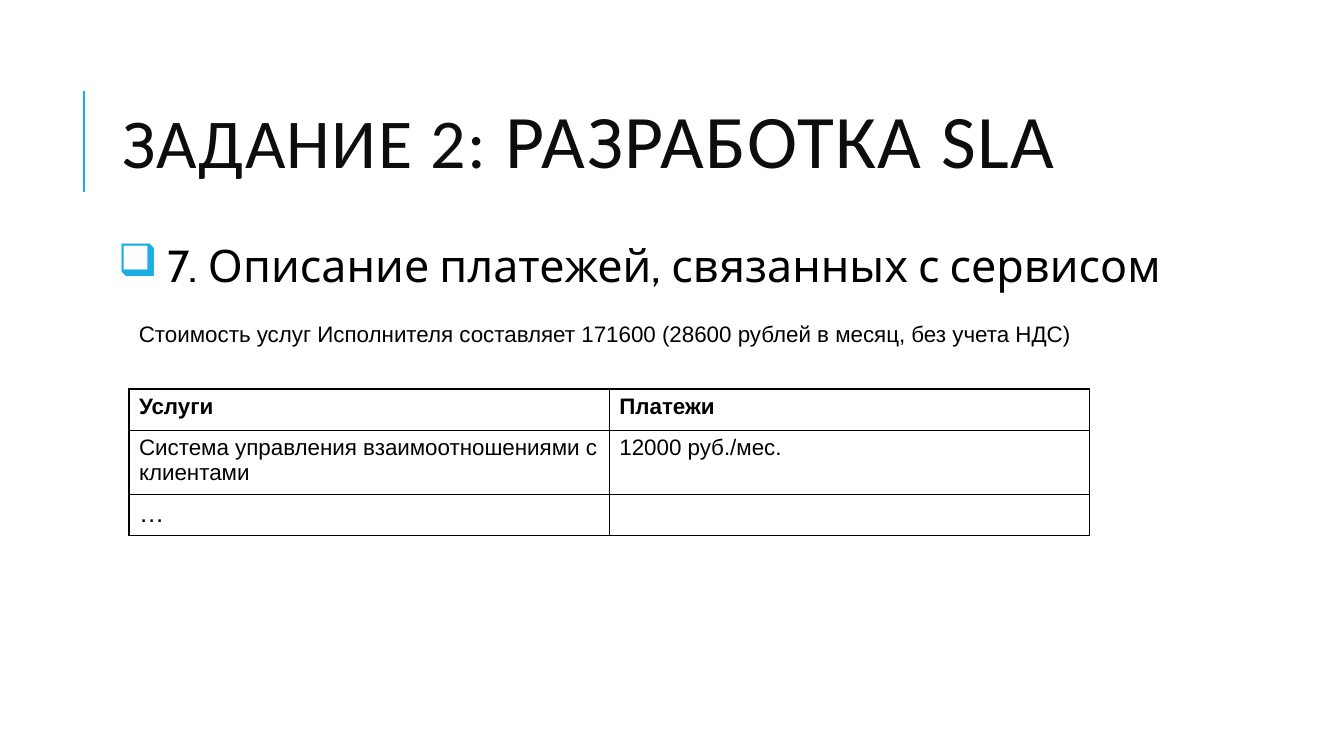
"""Build the slide on service payments in an SLA."""
from typing import NamedTuple

from lxml.etree import SubElement as Sub
from pptx import Presentation
from pptx.dml.color import RGBColor
from pptx.enum.shapes import MSO_CONNECTOR as Conn
from pptx.enum.text import MSO_ANCHOR as Anchor
from pptx.oxml.ns import qn
from pptx.util import Pt

BLACK = RGBColor(0x00, 0x00, 0x00)
INK = RGBColor(0x0D, 0x0D, 0x0D)
BLUE = RGBColor(0x1C, 0xAD, 0xE4)


class Box(NamedTuple):
    left: float
    top: float
    width: float
    height: float


class Cell(NamedTuple):
    text: str
    size: float = 16
    bold: bool = False


TITLE = Box(80.64, 46.08, 765.36, 118.08)
BODY = Box(80.64, 170.64, 765.36, 369.36)
COST = Box(92.16, 225.36, 686.16, 26.64)
GRID = Box(92.16, 277.92, 686.16, 88.5)
ROWS = [
    [Cell("Услуги", bold=True), Cell("Платежи", bold=True)],
    [Cell("Система управления взаимоотношениями с клиентами"), Cell("12000 руб./мес.")],
    [Cell("…", size=18), Cell("", size=18)],
]


def write(para, text: str, *, size: float, face: str = "Arial",
          color: RGBColor = BLACK, bold: bool = False, gap: float = 0) -> None:
    """Add a formatted run to a paragraph."""
    run = para.add_run()
    run.text = text
    font = run.font
    font.size, font.name, font.bold = Pt(size), face, bold
    font.color.rgb = color
    if gap:
        font._element.set("spc", str(int(gap * 100)))


def frame(slide, box: Box, *, inset: float = 0):
    """Add a wrapped text box and return its text frame."""
    text = slide.shapes.add_textbox(*map(Pt, box)).text_frame
    text.word_wrap = True
    if inset:
        text.margin_left = text.margin_right = Pt(inset)
        text.margin_top = text.margin_bottom = Pt(inset)
    return text


def bullet(para, mark: str, color: RGBColor, indent: float) -> None:
    """Give a paragraph a coloured bullet with a hanging indent."""
    props = para._p.get_or_add_pPr()
    props.set("marL", str(Pt(indent)))
    props.set("indent", str(-Pt(indent)))
    Sub(Sub(props, qn("a:buClr")), qn("a:srgbClr"), val=str(color))
    Sub(props, qn("a:buChar"), char=mark)


def border(cell, color: RGBColor, width: float) -> None:
    """Draw a line on all four sides of a cell."""
    props = cell._tc.get_or_add_tcPr()
    for side in "LRTB":
        line = Sub(props, qn(f"a:ln{side}"), w=str(Pt(width)))
        Sub(Sub(line, qn("a:solidFill")), qn("a:srgbClr"), val=str(color))


def rule(slide) -> None:
    """Draw the upright line beside the title."""
    line = slide.shapes.add_connector(Conn.STRAIGHT, Pt(60), Pt(136.8), Pt(60), Pt(64.8))
    line.line.color.rgb = BLUE
    line.line.width = Pt(1.5)
    Sub(line._element.spPr, qn("a:effectLst"))


def prices(slide) -> None:
    """Add the table of services and payments."""
    table = slide.shapes.add_table(len(ROWS), len(ROWS[0]), *map(Pt, GRID)).table
    table.first_row = table.horz_banding = False
    for row, items in enumerate(ROWS):
        for col, item in enumerate(items):
            cell = table.cell(row, col)
            border(cell, BLACK, 1)
            cell.fill.background()
            para = cell.text_frame.paragraphs[0]
            if item.text:
                write(para, item.text, size=item.size, bold=item.bold)
            else:
                para.font.size = Pt(item.size)


def main() -> None:
    """Build and save the slide."""
    deck = Presentation()
    deck.slide_width, deck.slide_height = Pt(960), Pt(540)
    slide = deck.slides.add_slide(deck.slide_layouts[6])
    rule(slide)

    title = frame(slide, TITLE)
    title.vertical_anchor = Anchor.MIDDLE
    head = title.paragraphs[0]
    head.line_spacing = 0.8
    for text, size in (("ЗАДАНИЕ 2: ", 50), ("РАЗРАБОТКА SLA", 54)):
        write(head, text, size=size, face="Calibri", color=INK, gap=1)

    topic = frame(slide, BODY, inset=3.6).paragraphs[0]
    bullet(topic, "❑", BLUE, 7.2)
    topic.line_spacing = 0.9
    topic.space_after = Pt(2)
    write(topic, " 7. Описание платежей, связанных с сервисом", size=32, face="Cabin")

    prices(slide)
    cost = frame(slide, COST).paragraphs[0]
    write(cost, "Стоимость услуг Исполнителя составляет 171600 "
          "(28600 рублей в месяц, без учета НДС)", size=16)
    deck.save("out.pptx")


if __name__ == "__main__":
    main()
